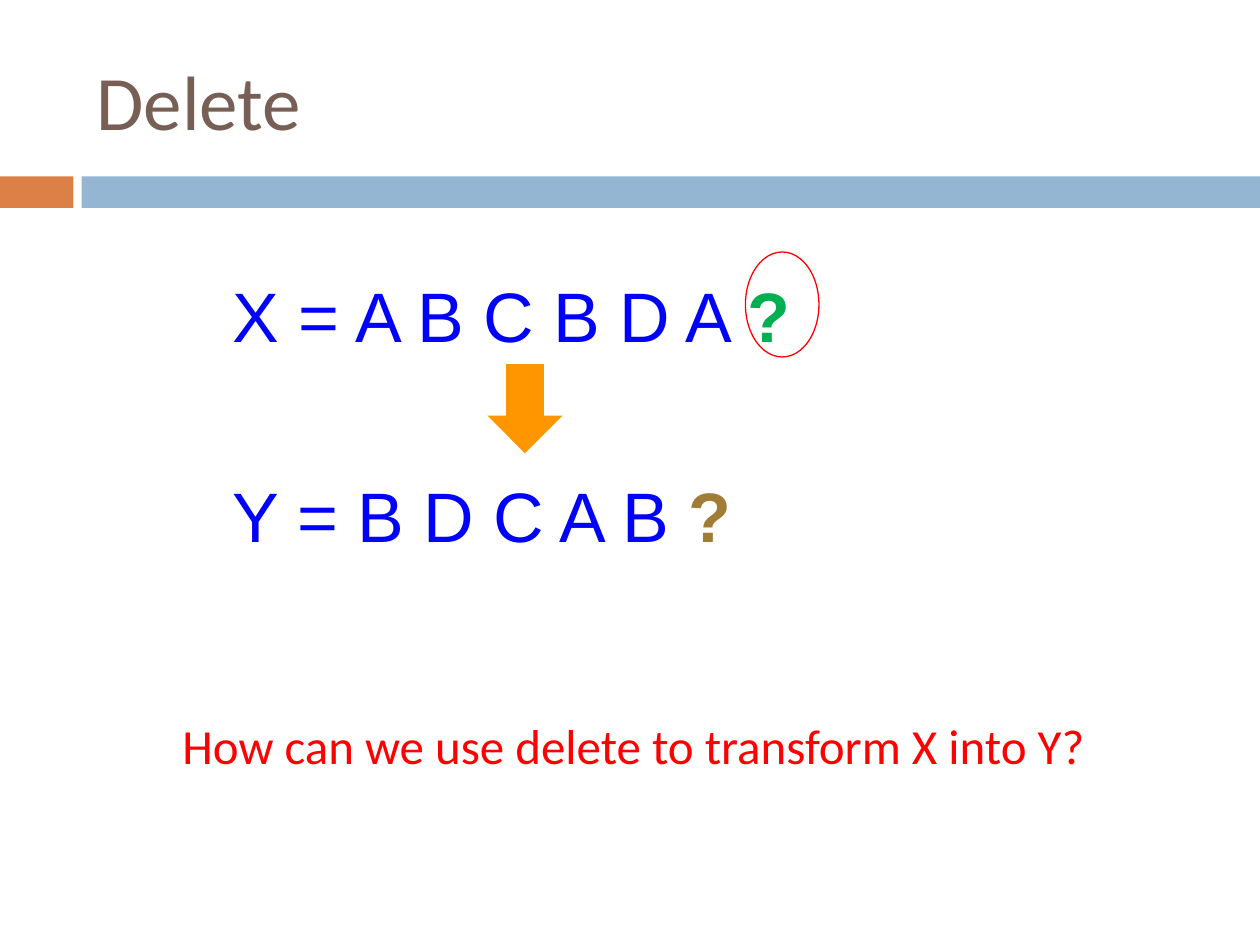
from pptx import Presentation
from pptx.dml.color import RGBColor
from pptx.enum.shapes import MSO_SHAPE
from pptx.enum.text import MSO_ANCHOR, PP_ALIGN
from pptx.util import Pt

TITLE_ONLY = 5
BLUE, RED = "0000FF", "FF0000"


def color(hex_string):
    return RGBColor.from_string(hex_string)


def add_run(paragraph, text, size, font, hex_string, bold=False):
    run = paragraph.add_run()
    run.text = text
    run.font.size = Pt(size)
    run.font.name = font
    run.font.bold = bold
    run.font.color.rgb = color(hex_string)


def add_plain_shape(slide, kind, left, top, width, height, fill=None, line=None):
    shape = slide.shapes.add_shape(kind, Pt(left), Pt(top), Pt(width), Pt(height))
    shape.shadow.inherit = False
    if fill:
        shape.fill.solid()
        shape.fill.fore_color.rgb = color(fill)
    else:
        shape.fill.background()
    if line:
        shape.line.color.rgb = color(line)
        shape.line.width = Pt(0.75)
    else:
        shape.line.fill.background()


def add_text_box(slide, left, top, width, height, wrap=True):
    box = slide.shapes.add_textbox(Pt(left), Pt(top), Pt(width), Pt(height))
    box.text_frame.word_wrap = wrap
    return box.text_frame


def add_header(slide, left, top, width, height):
    bar_top, bar_height, accent_width, gap = top + 100.8, 18, 42, 4.7
    bar_left = left + accent_width + gap
    add_plain_shape(slide, MSO_SHAPE.RECTANGLE, left, bar_top,
                    accent_width, bar_height, fill="DD8047")
    add_plain_shape(slide, MSO_SHAPE.RECTANGLE, bar_left, bar_top,
                    width - bar_left, bar_height, fill="94B6D2")
    title = slide.shapes.title
    title.left, title.top = Pt(left + 48), Pt(top + 18)
    title.width, title.height = Pt(width - 77.5), Pt(height - 41)
    title.text_frame.vertical_anchor = MSO_ANCHOR.MIDDLE
    paragraph = title.text_frame.paragraphs[0]
    paragraph.alignment = PP_ALIGN.LEFT
    add_run(paragraph, "Delete", 44, "Calibri", "775F55")


def add_sequence(slide, left, top, width, height, letters, mark_color):
    frame = add_text_box(slide, left, top, width, height)
    frame.margin_top = Pt(7)
    paragraph = frame.paragraphs[0]
    add_run(paragraph, letters, 40, "Arial", BLUE)
    add_run(paragraph, "?", 40, "Arial", mark_color, bold=True)


def add_transformation(slide, left, top):
    add_sequence(slide, left, top + 5, 348, 55.5, "X = A B C B D A ", "00B050")
    add_sequence(slide, left, top + 119, 372, 55.5, "Y = B D C A B ", "A17C36")
    add_plain_shape(slide, MSO_SHAPE.OVAL, left + 300, top, 42, 60, line=RED)
    add_plain_shape(slide, MSO_SHAPE.DOWN_ARROW, left + 152.5, top + 64, 43, 51,
                    fill="FF9600")


def add_question(slide, left, top, width, height):
    frame = add_text_box(slide, left, top, width, height, wrap=False)
    add_run(frame.paragraphs[0], "How can we use delete to transform X into Y?",
            28, "Calibri", RED)


def main():
    presentation = Presentation()
    presentation.slide_width, presentation.slide_height = Pt(720), Pt(540)
    slide = presentation.slides.add_slide(presentation.slide_layouts[TITLE_ONLY])
    add_header(slide, 0, 0, 720, 118.8)
    add_transformation(slide, 126, 144)
    add_question(slide, 97.2, 405.4, 532, 41)
    presentation.save("out.pptx")


if __name__ == "__main__":
    main()
